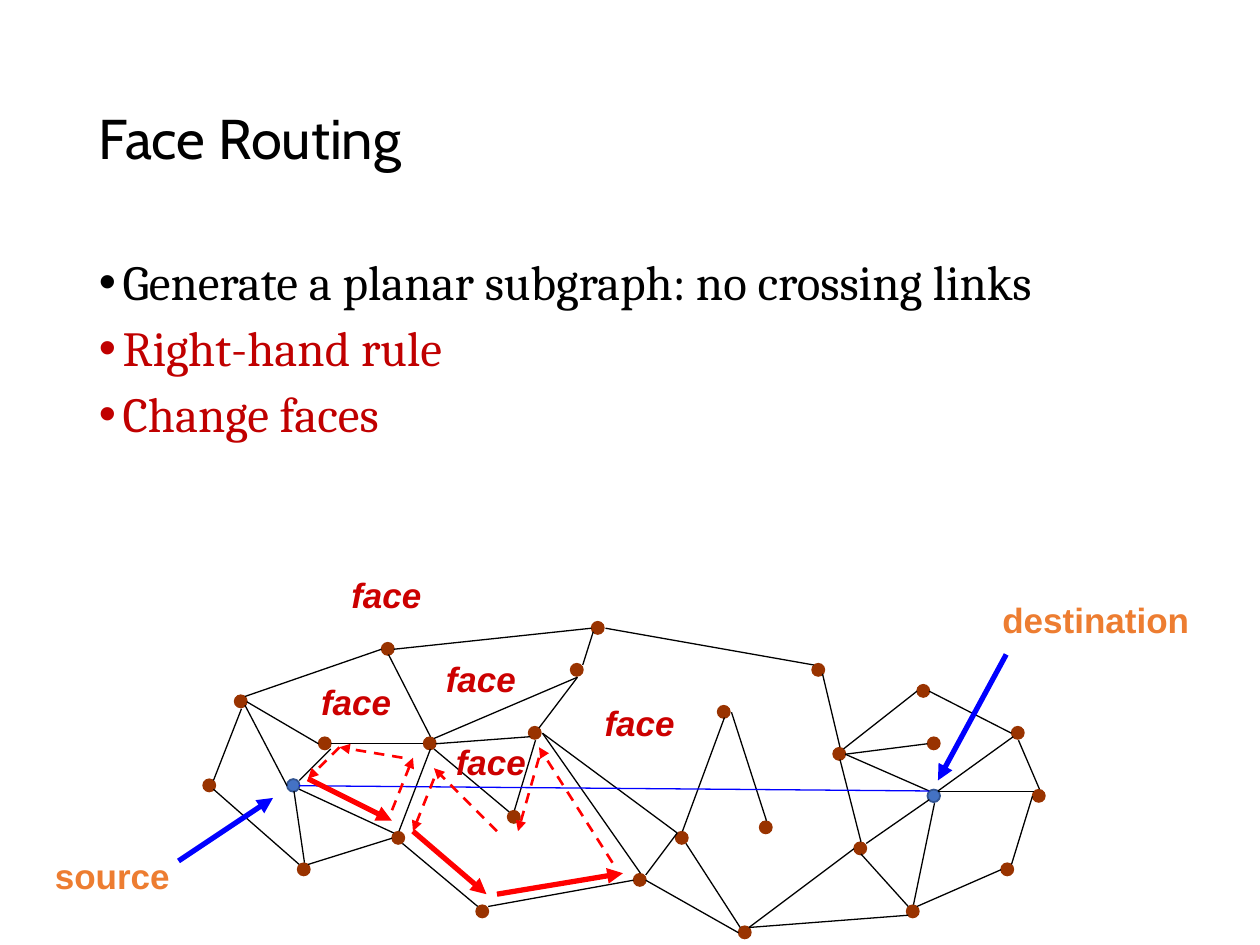
from pptx import Presentation
from pptx.dml.color import RGBColor
from pptx.enum.dml import MSO_LINE
from pptx.enum.shapes import MSO_CONNECTOR, MSO_SHAPE
from pptx.enum.text import MSO_ANCHOR, MSO_AUTO_SIZE
from pptx.oxml.ns import qn
from pptx.util import Pt
from lxml.etree import SubElement

BLACK = RGBColor(0x00, 0x00, 0x00)
DARK_RED = RGBColor(0xC0, 0x00, 0x00)
FACE_RED = RGBColor(0xCC, 0x00, 0x00)
RED = RGBColor(0xFF, 0x00, 0x00)
BLUE = RGBColor(0x00, 0x00, 0xFF)
ORANGE = RGBColor(0xED, 0x7D, 0x31)
BROWN = RGBColor(0x99, 0x33, 0x00)
NODE_BLUE = RGBColor(0x44, 0x72, 0xC4)
NODE_EDGE = RGBColor(0x32, 0x54, 0x91)

prs = Presentation()
prs.slide_width, prs.slide_height = Pt(720), Pt(540)
s = prs.slides.add_slide(prs.slide_layouts[6])


def add_text(box, text, size, font, color, bold=False, italic=False):
    tf = s.shapes.add_textbox(*[Pt(v) for v in box]).text_frame
    tf.word_wrap = True
    for i, line in enumerate(text):
        p = tf.paragraphs[0] if i == 0 else tf.add_paragraph()
        r = p.add_run()
        r.text = line
        r.font.size, r.font.name = Pt(size), font
        r.font.bold, r.font.italic = bold, italic
        r.font.color.rgb = color
    return tf


def add_line(points, color, width, arrow=False, dashed=False):
    c = s.shapes.add_connector(MSO_CONNECTOR.STRAIGHT, *[Pt(v) for v in points])
    c.line.color.rgb = color
    c.line.width = Pt(width)
    if dashed:
        c.line.dash_style = MSO_LINE.DASH
    if arrow:
        SubElement(c.line._get_or_add_ln(), qn("a:tailEnd"), type="triangle")
    SubElement(c._element.spPr, qn("a:effectLst"))


tf = add_text((49.5, 28.75, 621, 104.4), ["Face Routing"], 32, "Cabin", BLACK)
tf.vertical_anchor = MSO_ANCHOR.MIDDLE
tf.paragraphs[0].line_spacing = 0.9

bullets = ["Generate a planar subgraph: no crossing links", "Right-hand rule", "Change faces"]
tf = add_text((49.5, 143.75, 621, 342.5), bullets, 28, "Cambria", DARK_RED)
tf.paragraphs[0].runs[0].font.color.rgb = BLACK
for p in tf.paragraphs:
    p.line_spacing = 0.9
    p.space_before = Pt(7.5)
    pPr = p._p.get_or_add_pPr()
    pPr.set("marL", str(Pt(13.5)))
    pPr.set("indent", str(-Pt(13.5)))
    SubElement(pPr, qn("a:buFont"), typeface="Arial")
    SubElement(pPr, qn("a:buChar"), char="•")

source, destination = (8, 15), (69, 16)
nodes = [
    (0, 15), (3, 7), (9, 23), source, (11, 11), (18, 20), (17, 2),
    (21, 11), (26, 27), (35, 4), (37, 0), (29, 18), (31, 10), (49, 8),
    (58, 4), (41, 24), (45, 20), (53, 19), (51, 29), (62, 21), (60, 12),
    (68, 6), (69, 11), destination, (77, 10), (79, 16), (76, 23), (67, 27),
]
for node in nodes:
    col, row = node
    endpoint = node in (source, destination)
    sp = s.shapes.add_shape(MSO_SHAPE.OVAL, Pt(116 + 6 * col), Pt(355.2 + 6 * row), Pt(7.2), Pt(7.2))
    sp.shadow.inherit = False
    sp.fill.solid()
    sp.fill.fore_color.rgb = NODE_BLUE if endpoint else BROWN
    sp.line.color.rgb = NODE_EDGE if endpoint else BROWN
    sp.line.width = Pt(1 if endpoint else 0.75)

links = [
    (122, 446, 138, 405), (140, 398, 218, 371), (225, 371, 338, 359),
    (346, 359, 465, 380), (122, 451, 171, 494), (140, 403, 164, 449),
    (141, 401, 182, 425), (171, 446, 189, 428), (189, 425, 242, 425),
    (246, 421, 222, 374), (174, 493, 168, 452), (176, 494, 224, 479),
    (225, 476, 171, 451), (228, 475, 246, 428), (248, 422, 330, 387),
    (333, 380, 339, 361), (249, 425, 303, 421), (330, 387, 308, 416),
    (248, 428, 291, 464), (306, 423, 294, 463), (230, 482, 273, 518),
    (279, 518, 362, 503), (366, 499, 310, 419), (369, 500, 387, 476),
    (387, 476, 310, 419), (390, 475, 414, 410), (418, 407, 438, 469),
    (392, 482, 423, 530), (422, 533, 369, 503), (428, 530, 488, 485),
    (492, 481, 480, 434), (480, 427, 470, 385), (482, 428, 524, 395),
    (483, 431, 530, 425), (483, 431, 531, 452), (531, 457, 495, 482),
    (492, 488, 519, 518), (428, 530, 519, 523), (534, 459, 522, 517),
    (524, 518, 572, 497), (578, 494, 590, 455), (536, 452.3, 591, 452.3),
    (594, 451, 582, 423), (536, 452, 579, 421), (578, 419, 531, 395),
]
for link in links:
    add_line(link, BLACK, 0.75)

labels = [
    ("face", 176.4, 385.2, 54.7, FACE_RED), ("face", 247.7, 372.2, 54.7, FACE_RED),
    ("face", 253.4, 419.8, 54.7, FACE_RED), ("face", 338.4, 397.4, 54.7, FACE_RED),
    ("face", 193.7, 324, 54.7, FACE_RED), ("source", 24.3, 484.6, 80, ORANGE),
    ("destination", 565.7, 338.4, 125, ORANGE),
]
for text, x, y, w, color in labels:
    tf = add_text((x, y, w, 31), [text], 20, "Arial", color, True, text == "face")
    tf.word_wrap = False
    tf.auto_size = MSO_AUTO_SIZE.SHAPE_TO_FIT_TEXT
    tf.vertical_anchor = MSO_ANCHOR.MIDDLE

add_line((171, 449, 531, 452), BLUE, 0.75)

for route in [(176, 445, 224, 469), (236, 475, 278, 511), (284, 511, 356, 499)]:
    add_line(route, RED, 3, arrow=True)

probes = [
    (224, 463, 236, 433), (230, 433, 194, 427), (194, 427, 176, 445),
    (350, 493, 308, 427), (308, 433, 296, 475), (284, 475, 248, 439),
    (248, 445, 236, 475),
]
for probe in probes:
    add_line(probe, RED, 1.5, arrow=True, dashed=True)

for pointer in [(102, 492, 156, 456), (575, 374, 536, 446)]:
    add_line(pointer, BLUE, 3, arrow=True)

prs.save("out.pptx")
